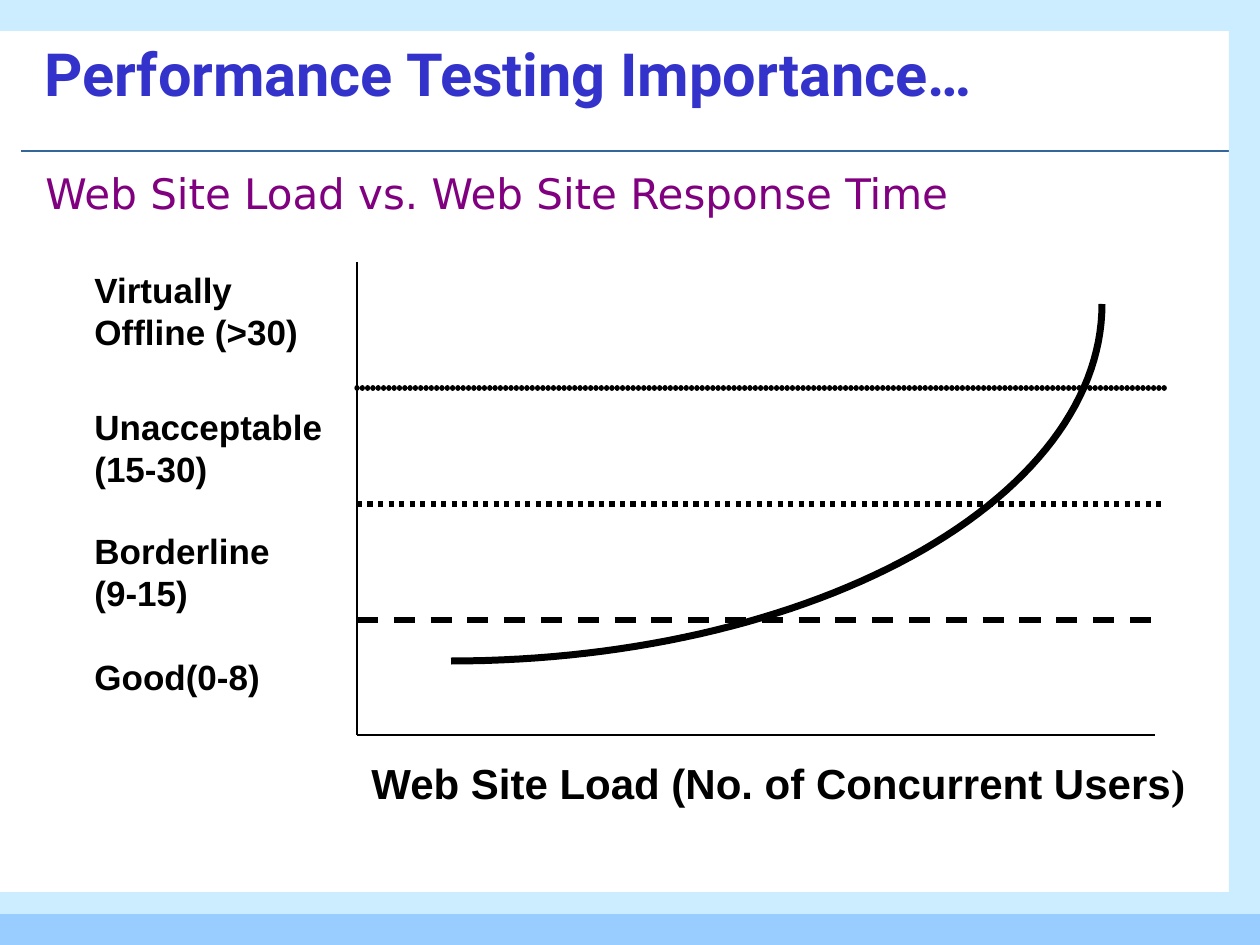
import math

from pptx import Presentation, util as u
from pptx.dml.color import RGBColor
from pptx.enum import dml, shapes, text
from pptx.oxml import parse_xml
from pptx.oxml.ns import nsdecls

PX = u.Inches(1) / 126
BLACK = "000000"
PALE = "CCECFF"

TITLE = "Performance Testing Importance…"
SUBTITLE = "Web Site Load vs. Web Site Response Time"
AXIS_LABEL = [("Web Site Load (No. of Concurrent Users", "Arial"),
              (")", "Times New Roman")]

# left, top, width, height, colour
BORDERS = [
    (0, 914, 1260, 31, "99CCFF"),
    (0, 892, 1260, 22, PALE),
    (1229, 0, 31, 914, PALE),
    (0, 0, 1260, 31, PALE),
]
# text, top, width, height
BANDS = [
    ("Virtually Offline (>30)", 262, 231, 97),
    ("Unacceptable (15-30)", 399, 262, 97),
    ("Borderline (9-15)", 523, 221, 97),
    ("Good(0-8)", 649, 221, 55),
]
BAND_LEFT = 82
AXIS_LEFT, AXIS_TOP, AXIS_RIGHT, AXIS_BOTTOM = 357, 262, 1155, 735
THRESHOLD_RIGHT, THRESHOLD_TOP, THRESHOLD_GAP = 1166, 388, 116
THRESHOLD_DASHES = ["dots", dml.MSO_LINE.ROUND_DOT, dml.MSO_LINE.DASH]
CURVE_LEFT, CURVE_TOP, CURVE_WIDTH, CURVE_HEIGHT = 451, 304, 651, 357
CURVE_STEPS = 60


def px(*values):
    return [round(value * PX) for value in values]


def colour(code):
    return RGBColor.from_string(code)


def write(box, spans, size, ink=BLACK, bold=False,
          anchor=text.MSO_ANCHOR.TOP):
    frame = box.text_frame
    frame.word_wrap = True
    frame.auto_size = text.MSO_AUTO_SIZE.NONE
    frame.vertical_anchor = anchor
    para = frame.paragraphs[0]
    para.alignment = text.PP_ALIGN.LEFT
    for words, font in spans:
        span = para.add_run()
        span.text = words
        span.font.name = font
        span.font.size = u.Pt(size)
        span.font.bold = bold
        span.font.color.rgb = colour(ink)


def add_text(page, place, spans, size, **style):
    write(page.shapes.add_textbox(*px(*place)), spans, size, **style)


def add_line(page, ends, width, ink=BLACK, dash=None):
    line = page.shapes.add_connector(shapes.MSO_CONNECTOR.STRAIGHT, *px(*ends))
    line.line.color.rgb = colour(ink)
    line.line.width = u.Pt(width)
    if dash == "dots":
        outline = line.line._get_or_add_ln()
        outline.set("cap", "rnd")
        outline.append(parse_xml(
            f'<a:custDash {nsdecls("a")}><a:ds d="1000" sp="100000"/></a:custDash>'))
    elif dash is not None:
        line.line.dash_style = dash
    line._element.spPr.append(parse_xml(f'<a:effectLst {nsdecls("a")}/>'))


def add_border(page, left, top, width, height, fill):
    border = page.shapes.add_shape(shapes.MSO_SHAPE.RECTANGLE,
                                   *px(left, top, width, height))
    border.shadow.inherit = False
    border.fill.solid()
    border.fill.fore_color.rgb = colour(fill)
    border.line.fill.background()


def add_curve(page):
    """Draw the response time as a quarter of an ellipse."""
    angles = [math.pi / 2 * (1 - step / CURVE_STEPS)
              for step in range(CURVE_STEPS + 1)]
    points = [px(CURVE_LEFT + CURVE_WIDTH * math.cos(angle),
                 CURVE_TOP + CURVE_HEIGHT * math.sin(angle))
              for angle in angles]
    builder = page.shapes.build_freeform(*points[0])
    builder.add_line_segments(points[1:], close=False)
    curve = builder.convert_to_shape()
    curve.shadow.inherit = False
    curve.fill.background()
    curve.line.color.rgb = colour(BLACK)
    curve.line.width = u.Pt(4)


def main():
    deck = Presentation()
    deck.slide_width, deck.slide_height = px(1260, 945)
    page = deck.slides.add_slide(deck.slide_layouts[5])

    add_line(page, (21, 151, 1229, 151), 1.5, ink="336699")
    for border in BORDERS:
        add_border(page, *border)

    title = page.shapes.title
    title.left, title.top, title.width, title.height = px(32, 10, 1113, 126)
    write(title, [(TITLE, "Roboto")], 34, ink="3333CC", bold=True,
          anchor=text.MSO_ANCHOR.MIDDLE)
    add_text(page, (33, 161, 1186, 709), [(SUBTITLE, "DejaVu Sans")], 24,
             ink="800080")

    add_line(page, (AXIS_LEFT, AXIS_TOP, AXIS_LEFT, AXIS_BOTTOM), 0.75)
    add_line(page, (AXIS_LEFT, AXIS_BOTTOM, AXIS_RIGHT, AXIS_BOTTOM), 0.75)
    add_text(page, (359, 751, 851, 63), AXIS_LABEL, 24, bold=True)

    for index, dash in enumerate(THRESHOLD_DASHES):
        y = THRESHOLD_TOP + index * THRESHOLD_GAP
        add_line(page, (AXIS_LEFT, y, THRESHOLD_RIGHT, y), 3, dash=dash)
    add_curve(page)

    for words, top, width, height in BANDS:
        add_text(page, (BAND_LEFT, top, width, height), [(words, "Arial")], 20,
                 bold=True)

    deck.save("out.pptx")


if __name__ == "__main__":
    main()
